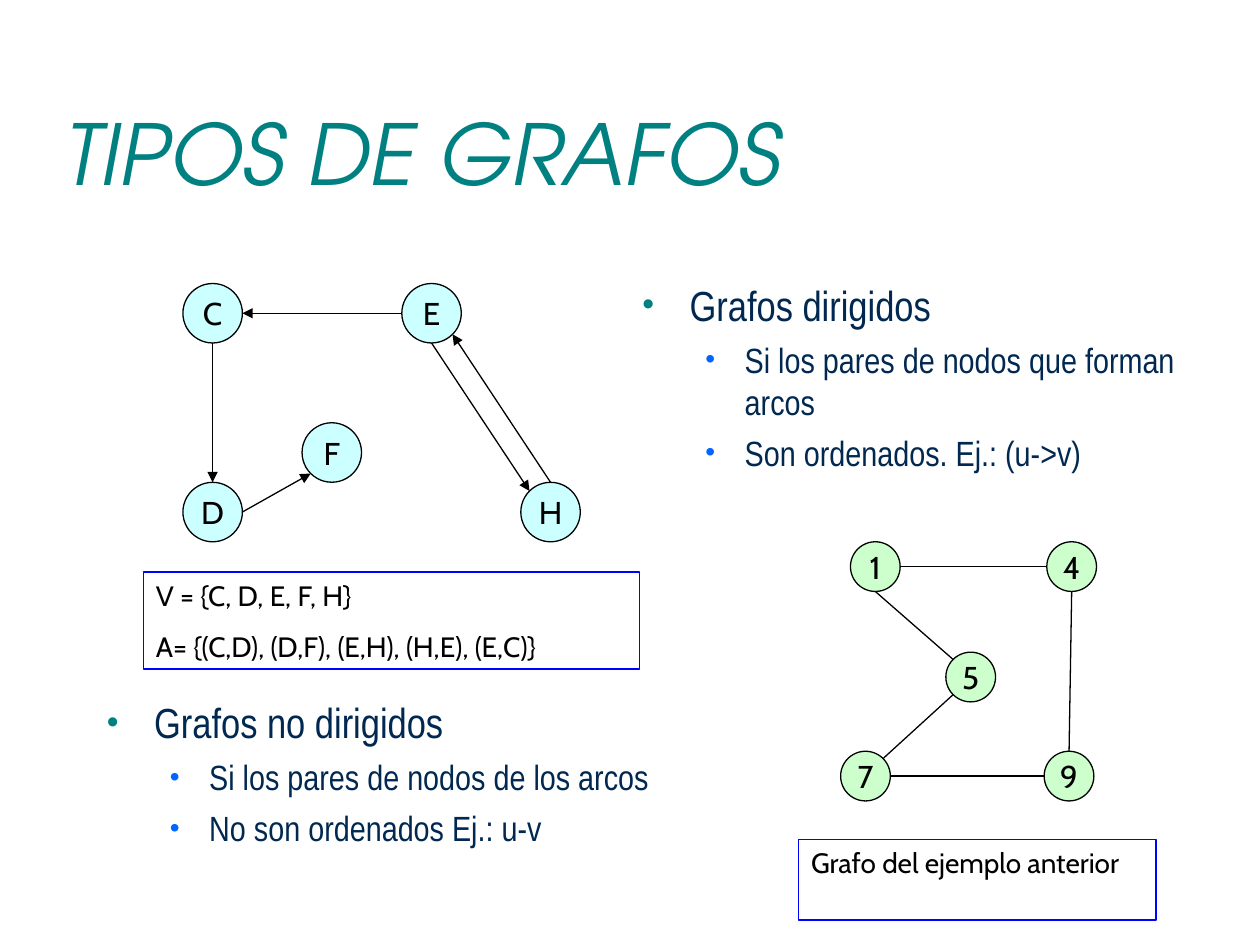
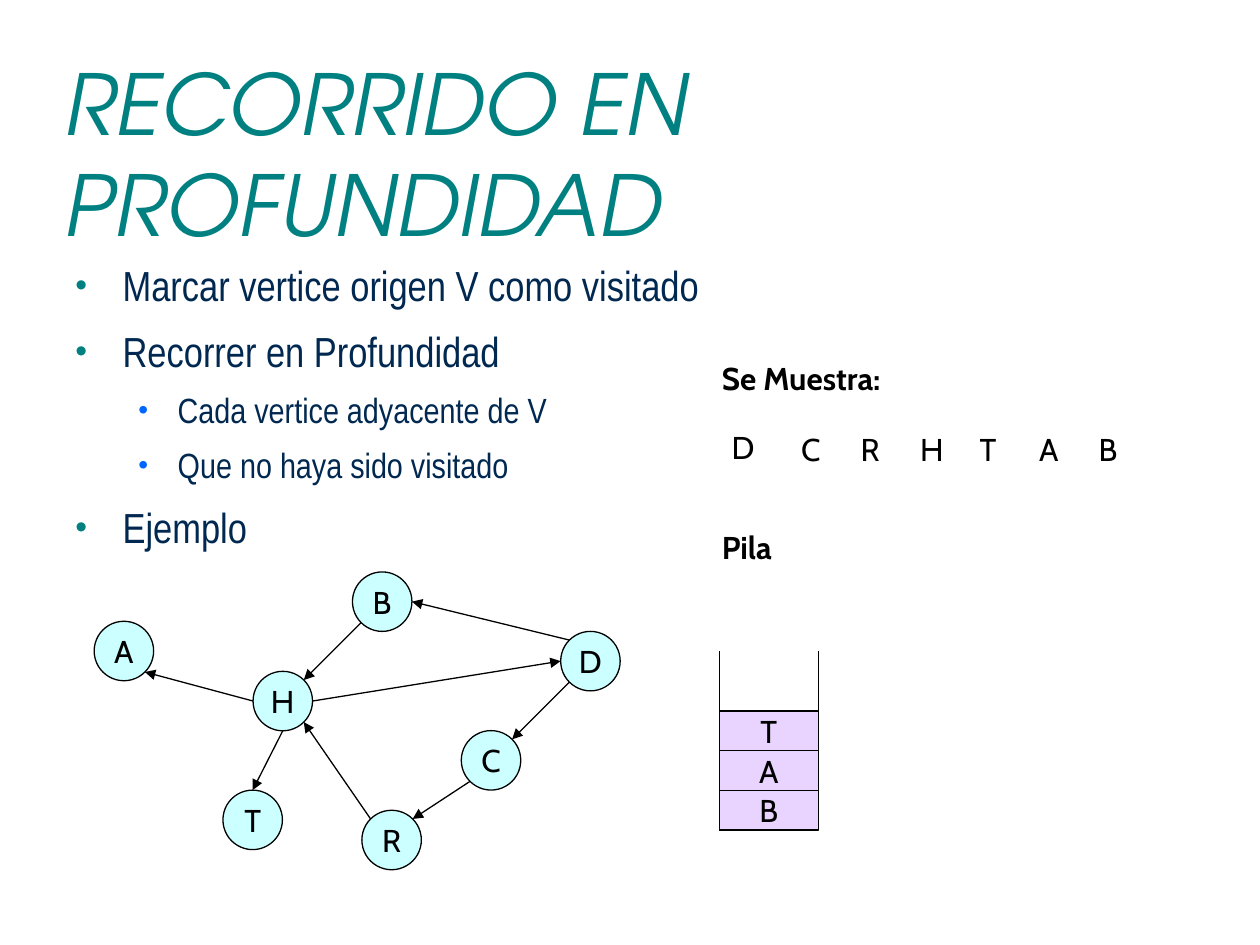
from dataclasses import dataclass
from typing import Optional

from lxml.etree import SubElement
from pptx import Presentation
from pptx.dml.color import RGBColor
from pptx.enum.shapes import MSO_CONNECTOR as Connector, MSO_SHAPE as Preset
from pptx.enum.text import MSO_ANCHOR as Anchor, PP_ALIGN as Align
from pptx.oxml.ns import qn
from pptx.util import Pt

TEAL = RGBColor(0x00, 0x80, 0x80)
NAVY = RGBColor(0x00, 0x28, 0x50)
BRIGHT_BLUE = RGBColor(0x00, 0x66, 0xFF)
FRAME_BLUE = RGBColor(0x00, 0x00, 0xFF)
BLACK = RGBColor(0x00, 0x00, 0x00)
CYAN = RGBColor(0xCC, 0xFF, 0xFF)
GREEN = RGBColor(0xCC, 0xFF, 0xCC)
LILAC = RGBColor(0xE9, 0xD3, 0xFF)

TITLE_FONT = "TeX Gyre Adventor"
BODY_FONT = "Arial Narrow"
LABEL_FONT = "Cabin"
DIAGONAL = 0.5 ** 0.5
COMPASS = {
    "N": (0, -1), "S": (0, 1), "W": (-1, 0), "E": (1, 0),
    "NW": (-DIAGONAL, -DIAGONAL), "NE": (DIAGONAL, -DIAGONAL),
    "SW": (-DIAGONAL, DIAGONAL), "SE": (DIAGONAL, DIAGONAL),
}


@dataclass(frozen=True)
class BulletStyle:
    """Format of one outline level."""

    size: float
    colour: RGBColor
    margin: float
    hanging: float
    before: float


LEVELS = (
    BulletStyle(24, TEAL, 27, 27, 6),
    BulletStyle(20, BRIGHT_BLUE, 58.5, 22.5, 5),
)


@dataclass(frozen=True)
class Node:
    """Named vertex placed by its top left corner."""

    name: str
    left: float
    top: float


@dataclass(frozen=True)
class Edge:
    """Link between compass points of two vertices."""

    start: str
    start_side: str
    end: str
    end_side: str


@dataclass(frozen=True)
class Graph:
    """Vertices, links and their shared look."""

    nodes: tuple[Node, ...]
    edges: tuple[Edge, ...]
    diameter: float
    fill: RGBColor
    directed: bool


DIRECTED = Graph(
    (Node("C", 104.5, 162), Node("E", 229.6, 162), Node("D", 104.5, 275.6),
     Node("F", 172.6, 241.6), Node("H", 297.6, 275.6)),
    (Edge("E", "W", "C", "E"), Edge("C", "S", "D", "N"), Edge("D", "E", "F", "SW"),
     Edge("E", "S", "H", "NW"), Edge("H", "N", "E", "SE")),
    34, CYAN, True,
)
UNDIRECTED = Graph(
    (Node("1", 486, 309.6), Node("4", 598.2, 309.6), Node("5", 540.5, 372.7),
     Node("7", 480.4, 429.3), Node("9", 596.7, 429.3)),
    (Edge("1", "E", "4", "W"), Edge("1", "S", "5", "NW"), Edge("5", "SW", "7", "NE"),
     Edge("7", "E", "9", "W"), Edge("9", "N", "4", "S")),
    28.4, GREEN, False,
)
TRAVERSAL = Graph(
    (Node("A", 53.8, 355), Node("T", 127.4, 451.5), Node("H", 144.6, 383.6),
     Node("B", 201.4, 326.8), Node("D", 320.4, 360.8), Node("C", 263.6, 417.5),
     Node("R", 206.8, 463)),
    (Edge("H", "W", "A", "SE"), Edge("H", "S", "T", "N"), Edge("R", "NW", "H", "SE"),
     Edge("C", "SW", "R", "NE"), Edge("H", "E", "D", "W"), Edge("B", "SW", "H", "NE"),
     Edge("D", "NW", "B", "E"), Edge("D", "SW", "C", "NE")),
    34, CYAN, True,
)


def add_span(para, text: str, *, font: str = LABEL_FONT, size: float = 18,
             colour: RGBColor = BLACK, bold: bool = False, italic: bool = False) -> None:
    """Append formatted text to a paragraph."""
    span = para.add_run()
    span.text = text
    span.font.name = font
    span.font.size = Pt(size)
    span.font.color.rgb = colour
    span.font.bold = bold
    span.font.italic = italic


def add_text(page, text: str, left: float, top: float, width: float, height: float, *,
             anchor: Anchor = Anchor.TOP, before: float = 0, **span_format) -> None:
    """Add a wrapping one-paragraph text box."""
    frame = page.shapes.add_textbox(Pt(left), Pt(top), Pt(width), Pt(height)).text_frame
    frame.word_wrap = True
    frame.vertical_anchor = anchor
    para = frame.paragraphs[0]
    para.space_before = Pt(before)
    add_span(para, text, **span_format)


def add_box(page, preset: Preset, left: float, top: float, width: float, height: float,
            lines: tuple[str, ...], *, fill: Optional[RGBColor] = None,
            outline: RGBColor = BLACK, size: float = 18, before: float = 0,
            centred: bool = True) -> None:
    """Add an outlined shape holding label text."""
    box = page.shapes.add_shape(preset, Pt(left), Pt(top), Pt(width), Pt(height))
    box.shadow.inherit = False
    if fill is None:
        box.fill.background()
    else:
        box.fill.solid()
        box.fill.fore_color.rgb = fill
    box.line.color.rgb = outline
    box.line.width = Pt(0.75)
    frame = box.text_frame
    frame.word_wrap = not centred
    frame.vertical_anchor = Anchor.MIDDLE if centred else Anchor.TOP
    for index, text in enumerate(lines):
        para = frame.add_paragraph() if index else frame.paragraphs[0]
        para.alignment = Align.CENTER if centred else Align.LEFT
        para.space_before = Pt(before)
        add_span(para, text, size=size)


def add_line(page, start: tuple[float, float], end: tuple[float, float],
             arrow: bool = False) -> None:
    """Draw a thin black line, with an arrowhead at its end if asked."""
    line = page.shapes.add_connector(
        Connector.STRAIGHT, *(Pt(value) for value in (*start, *end)))
    line.line.color.rgb = BLACK
    line.line.width = Pt(0.75)
    if arrow:
        SubElement(line.line._get_or_add_ln(), qn("a:tailEnd"), type="triangle")
    SubElement(line._element.spPr, qn("a:effectLst"))


def add_bullets(page, items: tuple[tuple[int, str], ...], left: float, top: float,
                width: float, height: float, spacing: float = 1.0) -> None:
    """Add a two-level bulleted outline."""
    frame = page.shapes.add_textbox(Pt(left), Pt(top), Pt(width), Pt(height)).text_frame
    frame.word_wrap = True
    for index, (level, text) in enumerate(items):
        style = LEVELS[level]
        para = frame.add_paragraph() if index else frame.paragraphs[0]
        para.level = level
        para.line_spacing = spacing
        para.space_before = Pt(style.before)
        properties = para._p.get_or_add_pPr()
        properties.set("marL", str(Pt(style.margin)))
        properties.set("indent", str(-Pt(style.hanging)))
        colour = SubElement(properties, qn("a:buClr"))
        SubElement(colour, qn("a:srgbClr"), val=str(style.colour))
        SubElement(properties, qn("a:buSzPct"), val="80000")
        SubElement(properties, qn("a:buFont"), typeface="Arial")
        SubElement(properties, qn("a:buChar"), char="•")
        add_span(para, text, font=BODY_FONT, size=style.size, colour=NAVY)


def add_graph(page, graph: Graph) -> None:
    """Draw the vertices of a graph and then its links."""
    radius = graph.diameter / 2
    nodes = {node.name: node for node in graph.nodes}

    def rim(name: str, side: str) -> tuple[float, float]:
        """Find a compass point on the rim of a vertex."""
        across, down = COMPASS[side]
        node = nodes[name]
        return node.left + radius * (1 + across), node.top + radius * (1 + down)

    for node in graph.nodes:
        add_box(page, Preset.OVAL, node.left, node.top, graph.diameter, graph.diameter,
                (node.name,), fill=graph.fill)
    for edge in graph.edges:
        add_line(page, rim(edge.start, edge.start_side), rim(edge.end, edge.end_side),
                 graph.directed)


def add_page(deck, title: str):
    """Add a blank slide with the shared title."""
    page = deck.slides.add_slide(deck.slide_layouts[6])
    add_text(page, title, 30, 42, 648, 90, anchor=Anchor.MIDDLE,
             font=TITLE_FONT, size=48, colour=TEAL, italic=True)
    return page


def add_stack(page, letters: str, left: float, top: float, bottom: float) -> None:
    """Draw an open container with letters piled from the bottom up."""
    width, height = 56.7, 22.7
    right = left + width
    add_line(page, (left, top), (left, bottom))
    add_line(page, (left, bottom), (right, bottom))
    add_line(page, (right, top), (right, bottom))
    for index, letter in enumerate(letters, start=1):
        add_box(page, Preset.RECTANGLE, left, bottom - index * height, width, height,
                (letter,), fill=LILAC)


def add_graph_types(deck) -> None:
    """Build the slide on directed and undirected graphs."""
    page = add_page(deck, "TIPOS DE GRAFOS")
    add_bullets(page, ((0, "Grafos dirigidos"),
                       (1, "Si los pares de nodos que forman arcos"),
                       (1, "Son ordenados. Ej.: (u->v)")), 360, 156, 360, 134)
    add_bullets(page, ((0, "Grafos no dirigidos"),
                       (1, "Si los pares de nodos de los arcos"),
                       (1, "No son ordenados Ej.: u-v")), 54, 394.5, 357, 106)
    caption = dict(outline=FRAME_BLUE, size=16, before=10, centred=False)
    add_graph(page, DIRECTED)
    add_box(page, Preset.RECTANGLE, 82, 326.8, 283.5, 55.6,
            ("V = {C, D, E, F, H}", "A= {(C,D), (D,F), (E,H), (H,E), (E,C)}"), **caption)
    add_graph(page, UNDIRECTED)
    add_box(page, Preset.RECTANGLE, 456.4, 479.7, 204.2, 46,
            ("Grafo del ejemplo anterior",), **caption)


def add_depth_first(deck) -> None:
    """Build the slide on depth-first traversal."""
    page = add_page(deck, "RECORRIDO EN PROFUNDIDAD")
    add_bullets(page, ((0, "Marcar vertice origen V como visitado"),
                       (0, "Recorrer en Profundidad"),
                       (1, "Cada vertice adyacente de V"),
                       (1, "Que no haya sido visitado"),
                       (0, "Ejemplo")), 36, 142, 648, 356, spacing=1.1)
    add_graph(page, TRAVERSAL)
    add_text(page, "Se Muestra:", 405.4, 201.6, 136, 29, before=11.2, bold=True)
    add_text(page, "Pila", 405.4, 298, 102, 29, before=11.2, bold=True)
    add_text(page, "D", 411, 241, 28.4, 29, before=11.2)
    for index, letter in enumerate("CRHTAB"):
        add_text(page, letter, 450.7 + 34 * index, 242, 28.4, 29, before=11.2)
    add_stack(page, "BAT", 411, 372.3, 474.3)


def main() -> None:
    """Build and save the deck."""
    deck = Presentation()
    deck.slide_width, deck.slide_height = Pt(720), Pt(540)
    add_graph_types(deck)
    add_depth_first(deck)
    deck.save("out.pptx")


if __name__ == "__main__":
    main()
